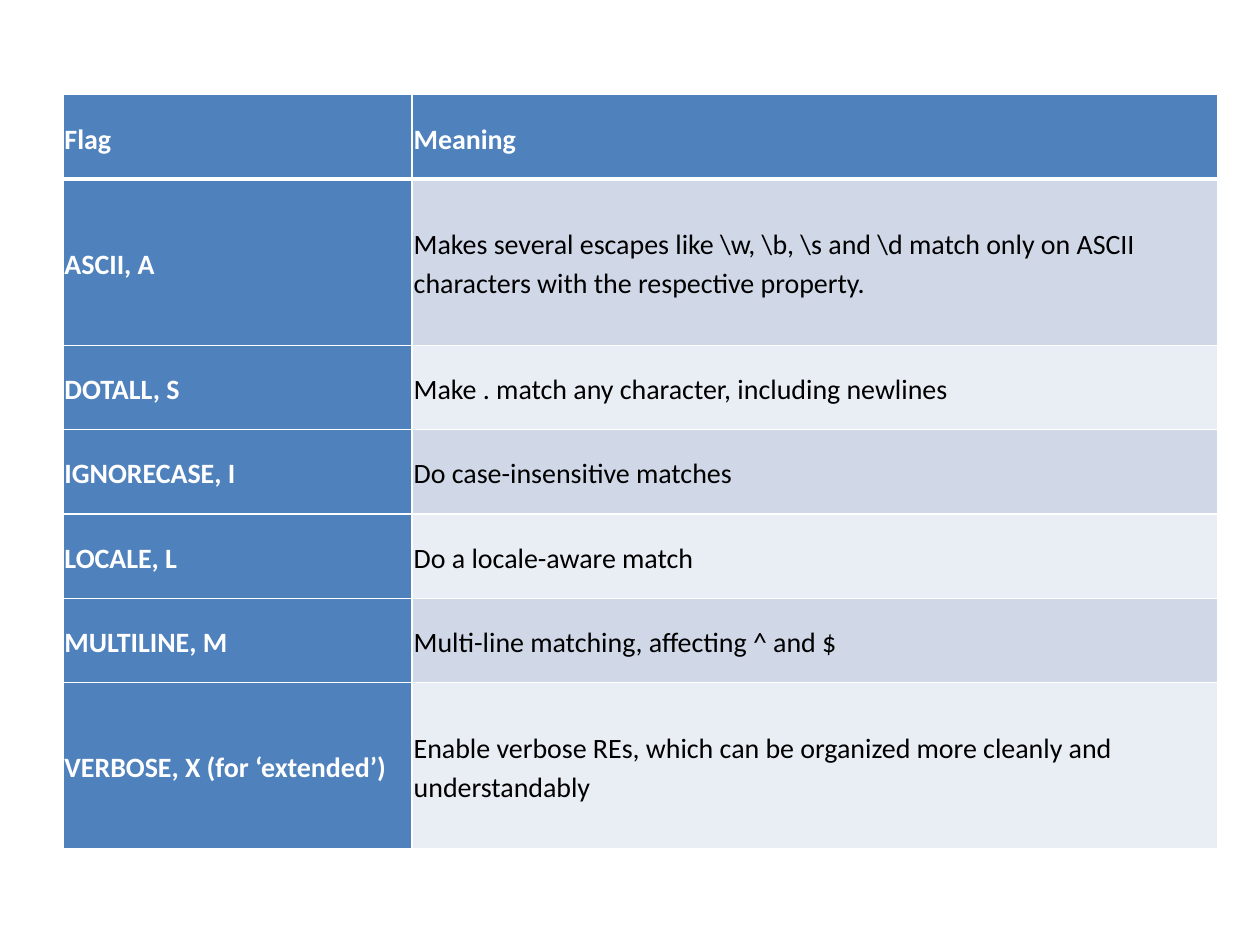
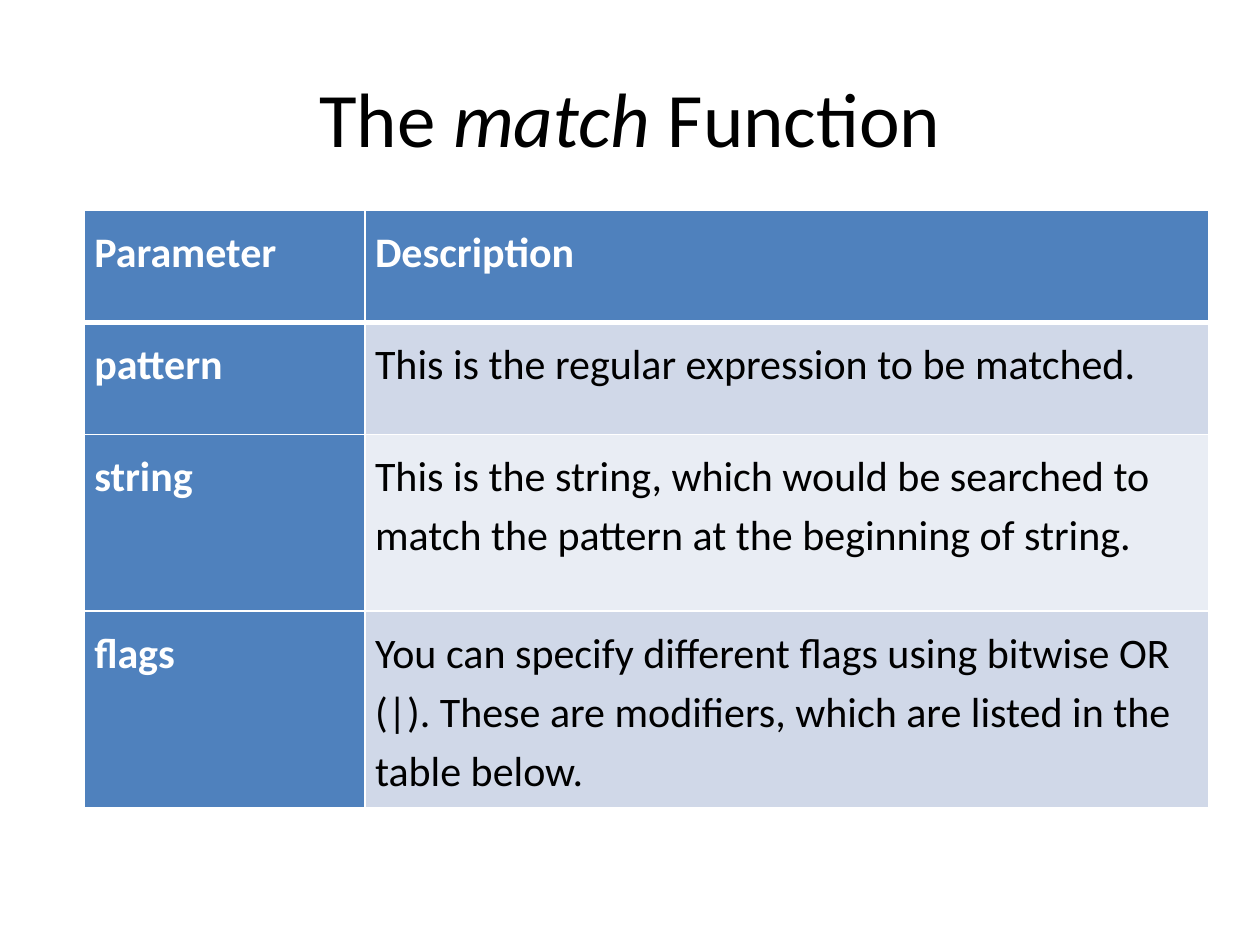
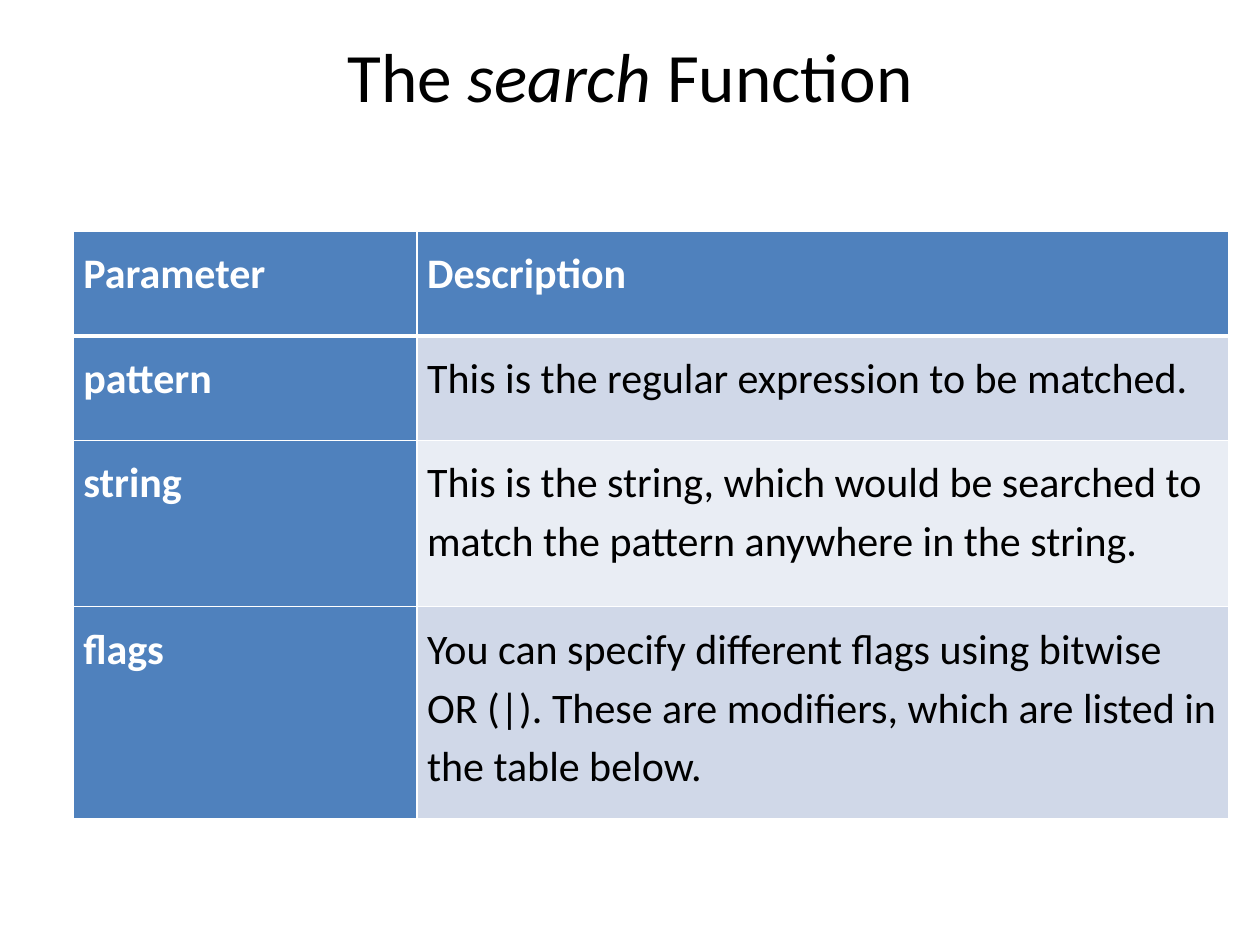
import pptx
import pptx.dml.color
import pptx.enum.text
import pptx.oxml
import pptx.oxml.ns
import pptx.util

Cm = pptx.util.Cm
Pt = pptx.util.Pt
RGBColor = pptx.dml.color.RGBColor
MIDDLE = pptx.enum.text.MSO_ANCHOR.MIDDLE
TOP = pptx.enum.text.MSO_ANCHOR.TOP

# Content
FLAG_ROWS = [
    ("Flag", "Meaning"),
    ("ASCII, A", r"Makes several escapes like \w, \b, \s and \d match only on ASCII "
                 "characters with the respective property."),
    ("DOTALL, S", "Make . match any character, including newlines"),
    ("IGNORECASE, I", "Do case-insensitive matches"),
    ("LOCALE, L", "Do a locale-aware match"),
    ("MULTILINE, M", "Multi-line matching, affecting ^ and $"),
    ("VERBOSE, X (for ‘extended’)", "Enable verbose REs, which can be organized more "
                                    "cleanly and understandably"),
]


def parameter_rows(where):
    return [
        ("Parameter", "Description"),
        ("pattern", "This is the regular expression to be matched."),
        ("string", f"This is the string, which would be searched to match the pattern {where}."),
        ("flags", "You can specify different flags using bitwise OR (|). These are "
                  "modifiers, which are listed in the table below."),
    ]


# Lengths are in centimetres, text sizes in points
FLAG_STYLE = {"size": 16, "inset": 0.03, "anchor": MIDDLE}
PARAMETER_STYLE = {"size": 24, "inset": 0.2, "anchor": TOP}
PAGES = [
    {"rows": FLAG_ROWS, "style": FLAG_STYLE, "corner": (1.27, 1.91),
     "widths": (7.04, 16.24), "heights": (1.7, 3.35, 1.7, 1.7, 1.7, 1.7, 3.35)},
    {"function": "match", "title_size": 44, "title_bottom": 0.13,
     "rows": parameter_rows("at the beginning of string"), "style": PARAMETER_STYLE,
     "corner": (1.7, 4.24), "widths": (5.66, 17), "heights": (2.26, 2.26, 3.56, 3.56)},
    {"function": "search", "title_size": 39.6, "title_bottom": 1.83,
     "rows": parameter_rows("anywhere in the string"), "style": PARAMETER_STYLE,
     "corner": (1.48, 4.66), "widths": (6.93, 16.36), "heights": (2.11, 2.11, 3.35, 4.27)},
]

# Shared look
FONT = "Calibri"
WHITE = RGBColor(0xFF, 0xFF, 0xFF)
BLACK = RGBColor(0x00, 0x00, 0x00)
BLUE = RGBColor(0x4F, 0x81, 0xBD)
BANDS = (RGBColor(0xE9, 0xED, 0xF4), RGBColor(0xD0, 0xD8, 0xE8))
TITLE_BOX = {"left": Cm(1.27), "top": Cm(0.76), "width": Cm(22.86), "height": Cm(3.18)}
TITLE_ONLY, BLANK = 5, 6


def apply(target, values):
    for name, value in values.items():
        setattr(target, name, value)


def format_span(span, size, color, **more):
    apply(span.font, {"name": FONT, "size": Pt(size), **more})
    span.font.color.rgb = color


def add_title(page, function, size, bottom):
    title = page.shapes.title
    apply(title, TITLE_BOX)
    apply(title.text_frame, {"vertical_anchor": MIDDLE, "margin_bottom": Cm(bottom),
                             "auto_size": pptx.enum.text.MSO_AUTO_SIZE.NONE})
    para = title.text_frame.paragraphs[0]
    para.alignment = pptx.enum.text.PP_ALIGN.CENTER
    for text in ("The ", function, " Function"):
        span = para.add_run()
        span.text = text
        format_span(span, size, BLACK, italic=text == function)


def set_borders(cell, widths):
    """Draw white cell borders; widths maps L, R, T and B to points."""
    properties = cell._tc.get_or_add_tcPr()
    for place, (side, width) in enumerate(widths.items()):
        line = pptx.oxml.parse_xml(
            f'<a:ln{side} {pptx.oxml.ns.nsdecls("a")} w="{Pt(width)}">'
            f'<a:solidFill><a:srgbClr val="{WHITE}"/></a:solidFill></a:ln{side}>')
        properties.insert(place, line)


def fill_cell(cell, text, row, column, style):
    heading = row == 0 or column == 0
    inset = Cm(style["inset"])
    apply(cell, {"vertical_anchor": style["anchor"], "margin_left": inset,
                 "margin_right": inset, "margin_top": inset, "margin_bottom": inset})
    cell.fill.solid()
    cell.fill.fore_color.rgb = BLUE if heading else BANDS[row % 2]
    set_borders(cell, {"L": 1, "R": 1, "T": 3 if row == 1 else 1, "B": 3 if row == 0 else 1})
    para = cell.text_frame.paragraphs[0]
    apply(para, {"line_spacing": 1.15, "space_after": Pt(10)})
    span = para.add_run()
    span.text = text
    format_span(span, style["size"], WHITE if heading else BLACK, bold=heading)


def add_grid(page, rows, style, corner, widths, heights):
    left, top = corner
    frame = page.shapes.add_table(len(rows), len(widths), Cm(left), Cm(top),
                                  Cm(sum(widths)), Cm(sum(heights)))
    table = frame.table
    table.first_col = True
    for column, width in zip(table.columns, widths):
        column.width = Cm(width)
    for row, height in zip(table.rows, heights):
        row.height = Cm(height)
    for row, texts in enumerate(rows):
        for column, text in enumerate(texts):
            fill_cell(table.cell(row, column), text, row, column, style)


def main():
    deck = pptx.Presentation()
    deck.slide_width, deck.slide_height = Cm(25.4), Cm(19.05)
    for content in PAGES:
        titled = "function" in content
        page = deck.slides.add_slide(deck.slide_layouts[TITLE_ONLY if titled else BLANK])
        if titled:
            add_title(page, content["function"], content["title_size"], content["title_bottom"])
        add_grid(page, content["rows"], content["style"], content["corner"],
                 content["widths"], content["heights"])
    deck.save("out.pptx")


if __name__ == "__main__":
    main()
